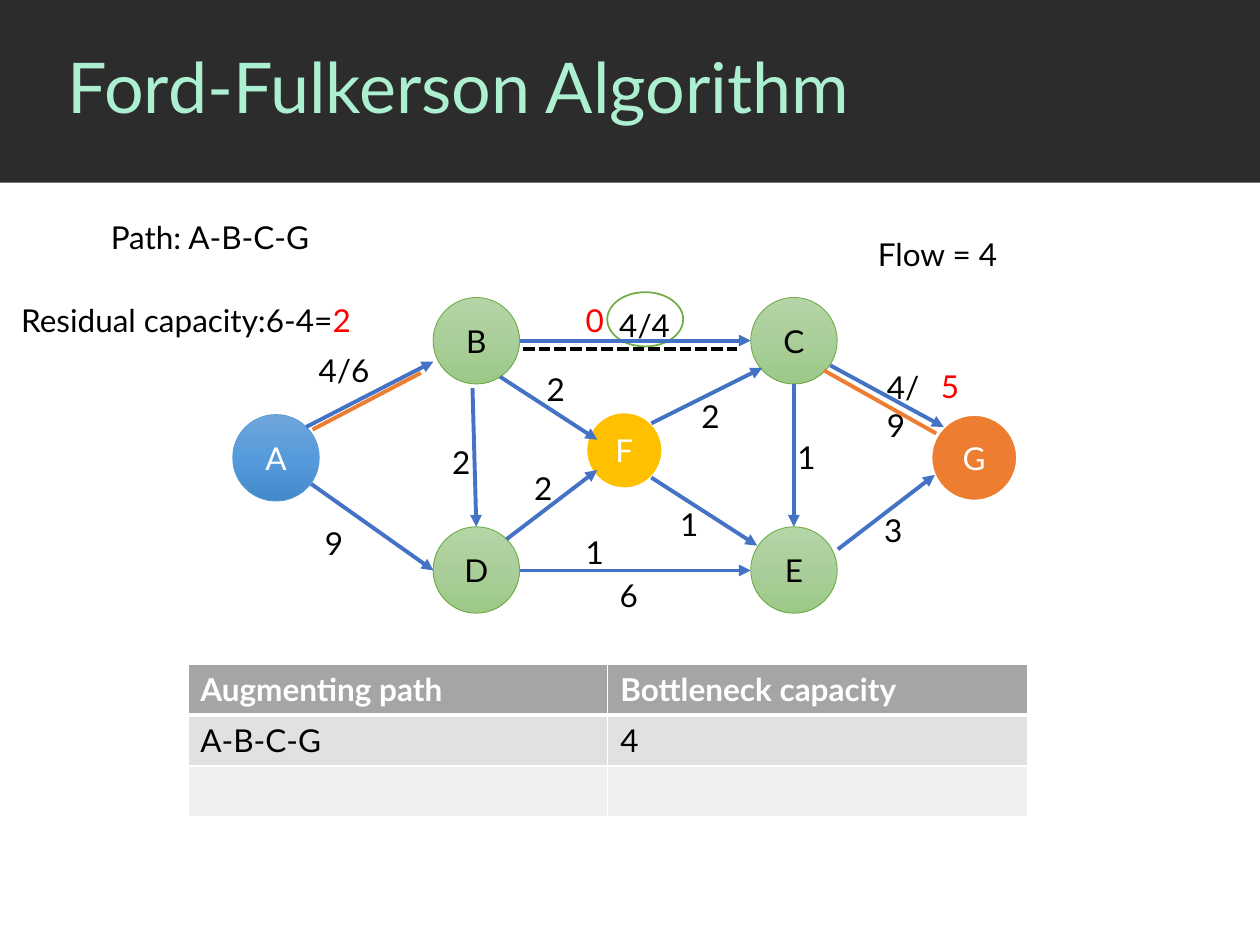
"""Build the Ford-Fulkerson slide: flow network, labels and augmenting path table."""
from dataclasses import dataclass

from lxml import etree
from pptx import Presentation
from pptx import util as u
from pptx.dml.color import RGBColor
from pptx.enum import dml, shapes, text
from pptx.oxml import ns


@dataclass(frozen=True)
class Theme:
    """Colours, font and type sizes of the slide."""
    font: str = "Lato"
    title_size: float = 40
    body_size: float = 18
    band: str = "2C2C2C"
    title: str = "ADF0D1"
    black: str = "000000"
    white: str = "FFFFFF"
    red: str = "FF0000"
    edge: str = "4472C4"
    orange: str = "ED7D31"
    yellow: str = "FFC000"
    green_line: str = "70AD47"
    blue_line: str = "5B9BD5"
    green: tuple = ("B5D5A7", "AACE9A", "9CC987")
    blue: tuple = ("71A6DB", "559BDB", "448ACA")
    table_rows: tuple = ("A5A5A5", "E1E1E1", "F0F0F0")


THEME = Theme()

EDGES = [
    (175, 244, 247.7, 206.6), (285.8, 215.3, 341.3, 251.3),
    (372.2, 241.9, 435.6, 210.2), (289.4, 308.2, 341.3, 268.6),
    (478.8, 313.9, 534.2, 271.4), (297.2, 194.6, 429, 194.6),
    (297.2, 326, 429, 326), (372.2, 272.9, 432.7, 311.8),
    (177.8, 276.5, 247.7, 326), (474.5, 208.8, 539.3, 244),
    (270, 221.8, 272.2, 301), (453.6, 219.6, 453.6, 301),
]

PATH_LINES = [
    (178.6, 245.5, 240.5, 213.1, THEME.orange, None),
    (298.8, 199.4, 421.2, 199.4, THEME.black, dml.MSO_LINE.SQUARE_DOT),
    (470.9, 211.7, 535, 247.7, THEME.orange, None),
]

DIGIT = 19.4
LABELS = [
    ("4/6", 175, 197.3, 49), ("9", 178.6, 295.9, 32.4),
    ("2", 251.3, 249.8, DIGIT), ("4/4", 346.8, 171.4, 44),
    ("2", 305.3, 208.1, DIGIT), ("2", 393.8, 223.2, DIGIT),
    ("2", 298.1, 264.2, DIGIT), ("1", 381.6, 285.1, DIGIT),
    ("6", 347, 325.4, DIGIT), ("3", 498.2, 288.7, DIGIT),
    ("4/9", 499.7, 206.6, 42), ("1", 448.6, 247, DIGIT),
    ("1", 327.6, 301, DIGIT), ("Path: A-B-C-G", 56.2, 121, 264),
    ("Flow = 4", 494.6, 131, 173.5),
]

RED_LABELS = [("0", 327.6, 168.5), ("5", 530.6, 205.9)]


def rgb(value):
    """Turn a hex string into a colour."""
    return RGBColor.from_string(value)


def style(font, colour, size=THEME.body_size, bold=None):
    """Set face, size, weight and colour of a font."""
    font.name, font.size, font.bold = THEME.font, u.Pt(size), bold
    font.color.rgb = rgb(colour)


def fill_gradient(shape, colours):
    """Fill a shape from top to bottom with evenly spaced colours."""
    shape.fill.gradient()
    shape.fill.gradient_angle = 270
    stops = next(shape.element.iter(ns.qn("a:gsLst")))
    for stop in list(stops):
        stops.remove(stop)
    for index, colour in enumerate(colours):
        position = 100000 * index // (len(colours) - 1)
        stop = etree.SubElement(stops, ns.qn("a:gs"), pos=str(position))
        etree.SubElement(stop, ns.qn("a:srgbClr"), val=colour)


def add_figure(page, kind, bounds, fill, line=None, width=1):
    """Add a preset shape with a plain or gradient fill."""
    shape = page.shapes.add_shape(kind, *map(u.Pt, bounds))
    shape.shadow.inherit = False
    if isinstance(fill, tuple):
        fill_gradient(shape, fill)
    else:
        shape.fill.solid()
        shape.fill.fore_color.rgb = rgb(fill)
    if line:
        shape.line.color.rgb = rgb(line)
        shape.line.width = u.Pt(width)
    else:
        shape.line.fill.background()
    return shape


def add_node(page, name, left, top, fill, line, width, colour, size=49.4):
    """Add a round network node with its letter."""
    node = add_figure(page, shapes.MSO_SHAPE.OVAL, (left, top, size, size), fill, line, width)
    node.text_frame.vertical_anchor = text.MSO_ANCHOR.MIDDLE
    para = node.text_frame.paragraphs[0]
    para.text = name
    para.alignment = text.PP_ALIGN.CENTER
    style(para.font, colour)


def add_line(page, ends, colour, dash=None, arrow=False):
    """Add a straight line, dashed or with an arrowhead on request."""
    line = page.shapes.add_connector(shapes.MSO_CONNECTOR.STRAIGHT, *map(u.Pt, ends))
    line.line.color.rgb = rgb(colour)
    line.line.width = u.Pt(2.25)
    if dash:
        line.line.dash_style = dash
    properties = line.element.spPr
    if arrow:
        etree.SubElement(properties.find(ns.qn("a:ln")), ns.qn("a:tailEnd"), type="triangle")
    etree.SubElement(properties, ns.qn("a:effectLst"))


def add_label(page, wording, left, top, width, colour=THEME.black):
    """Add a one-paragraph text box and return the paragraph."""
    box = page.shapes.add_textbox(*map(u.Pt, (left, top, width, 29)))
    box.text_frame.word_wrap = True
    box.text_frame.auto_size = text.MSO_AUTO_SIZE.SHAPE_TO_FIT_TEXT
    para = box.text_frame.paragraphs[0]
    para.text = wording
    style(para.font, colour)
    return para


def add_title(page, wording):
    """Add the dark band and the title on it."""
    add_figure(page, shapes.MSO_SHAPE.RECTANGLE, (0, 0, 720, 104.4), THEME.band)
    box = page.shapes.add_textbox(*map(u.Pt, (31.7, 0, 688.3, 103.7)))
    box.text_frame.word_wrap = True
    box.text_frame.vertical_anchor = text.MSO_ANCHOR.MIDDLE
    para = box.text_frame.paragraphs[0]
    para.text = wording
    para.line_spacing = 0.9
    style(para.font, THEME.title, THEME.title_size)


def add_residual(page):
    """Add the residual capacity note with its result in red."""
    para = add_label(page, "Residual capacity:6-4=", 5, 168.5, 264)
    span = para.add_run()
    span.text = "2"
    span.font.color.rgb = rgb(THEME.red)


def border_cell(cell, top, bottom):
    """Draw white borders of the given top and bottom widths."""
    properties = cell._tc.get_or_add_tcPr()
    for side, width in (("L", 1), ("R", 1), ("T", top), ("B", bottom)):
        line = etree.SubElement(properties, ns.qn(f"a:ln{side}"), w=str(u.Pt(width)))
        fill = etree.SubElement(line, ns.qn("a:solidFill"))
        etree.SubElement(fill, ns.qn("a:srgbClr"), val=THEME.white)


def add_path_table(page, rows):
    """Add the table of augmenting paths."""
    frame = page.shapes.add_table(len(rows), len(rows[0]), *map(u.Pt, (107.3, 379.6, 480, 87)))
    for row, wordings in enumerate(rows):
        header = row == 0
        for column, wording in enumerate(wordings):
            cell = frame.table.cell(row, column)
            border_cell(cell, 3 if row == 1 else 1, 3 if header else 1)
            cell.fill.solid()
            cell.fill.fore_color.rgb = rgb(THEME.table_rows[row])
            para = cell.text_frame.paragraphs[0]
            para.text = wording
            style(para.font, THEME.white if header else THEME.black, bold=header)


def main():
    """Build and save the deck."""
    deck = Presentation()
    deck.slide_width, deck.slide_height = u.Pt(720), u.Pt(540)
    page = deck.slides.add_slide(deck.slide_layouts[6])
    add_title(page, "Ford-Fulkerson Algorithm")
    add_figure(page, shapes.MSO_SHAPE.OVAL, (347, 167, 43.4, 31), THEME.white, THEME.green_line)
    add_node(page, "A", 133, 236.9, THEME.blue, THEME.blue_line, 0.5, THEME.white)
    for name, left, top in (("B", 247.5, 170), ("C", 429, 170), ("D", 247.5, 301), ("E", 429, 301)):
        add_node(page, name, left, top, THEME.green, THEME.green_line, 0.5, THEME.black)
    add_node(page, "G", 532, 236.9, THEME.orange, THEME.white, 1.5, THEME.white)
    add_node(page, "F", 334.8, 235.4, THEME.yellow, THEME.white, 1.5, THEME.white, 43.9)
    for ends in EDGES:
        add_line(page, ends, THEME.edge, arrow=True)
    for label in LABELS:
        add_label(page, *label)
    add_path_table(page, [("Augmenting path", "Bottleneck capacity"), ("A-B-C-G", "4"), ("", "")])
    for *ends, colour, dash in PATH_LINES:
        add_line(page, ends, colour, dash)
    add_residual(page)
    for wording, left, top in RED_LABELS:
        add_label(page, wording, left, top, DIGIT, THEME.red)
    deck.save("out.pptx")


if __name__ == "__main__":
    main()
